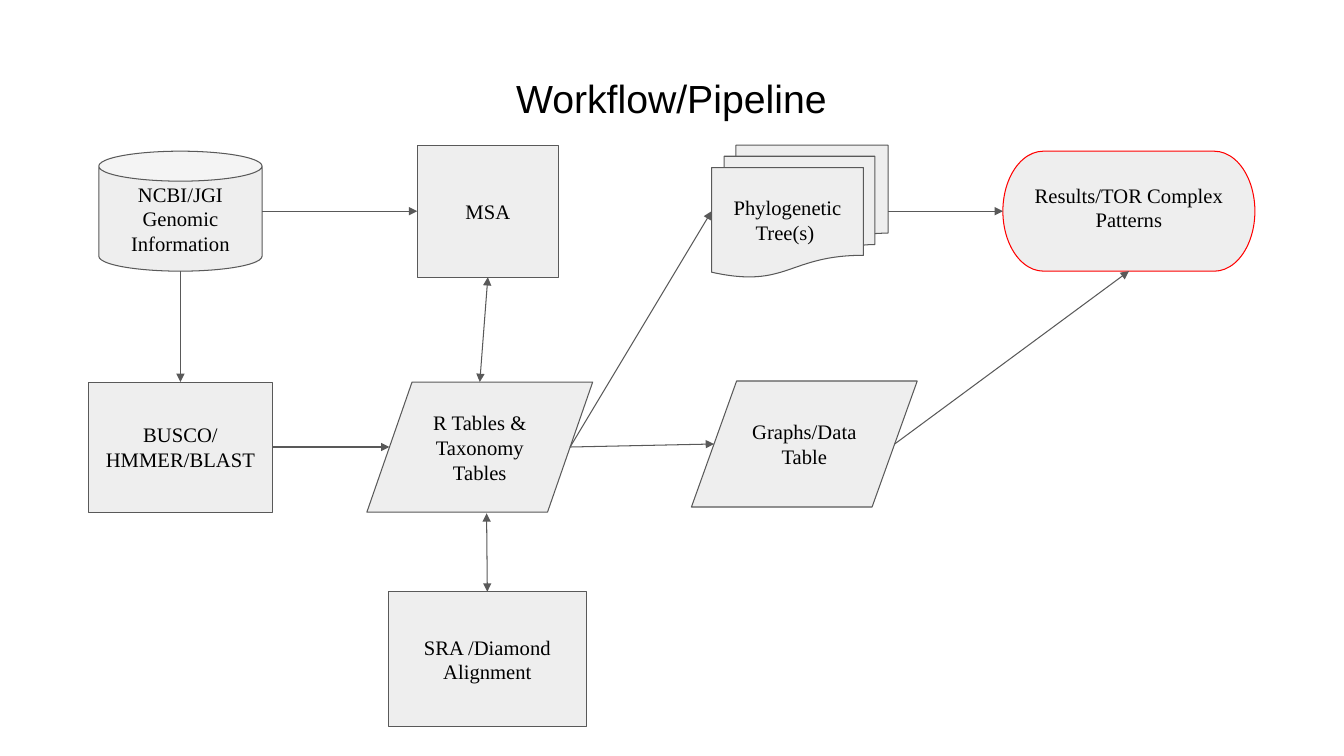
from pptx import Presentation
from pptx.dml.color import RGBColor
from pptx.enum.shapes import MSO_CONNECTOR as Line, MSO_SHAPE as Shape
from pptx.enum.text import MSO_ANCHOR as Anchor, PP_ALIGN as Align
from pptx.oxml.ns import qn
from pptx.util import Inches, Pt
from lxml.etree import SubElement

BLACK = RGBColor(0x00, 0x00, 0x00)
GREY = RGBColor(0x59, 0x59, 0x59)
PALE = RGBColor(0xEE, 0xEE, 0xEE)
RED = RGBColor(0xFF, 0x00, 0x00)

COLS, ROWS = 160, 90
CELL = Inches(1) / 12
PAD = Inches(0.13)
THIN = Pt(0.75)

TITLE = (5.4, 7.32, 149.04, 10.08)
FLOW = (10.56, 17.28, 138.84, 69.24)

FRAME = {"word_wrap": True, "margin_left": PAD, "margin_right": PAD,
         "margin_top": PAD, "margin_bottom": PAD}
HEAD = {"name": "Arial", "size": Pt(28)}
BODY = {"name": "Times New Roman", "size": Pt(14.7)}

# name: preset, text, box in cells from the corner of the flow
NODES = {
    "genome": (Shape.CAN, "NCBI/JGI Genomic Information", (1.2, 0.72, 19.44, 14.28)),
    "msa": (Shape.RECTANGLE, "MSA", (39.12, 0, 16.8, 15.72)),
    "trees": (Shape.FLOWCHART_MULTIDOCUMENT, "Phylogenetic Tree(s) ",
              (74.16, 0, 21, 15.72)),
    "results": (Shape.FLOWCHART_TERMINATOR, "Results/TOR Complex Patterns",
                (108.84, 0.72, 30, 14.28)),
    "search": (Shape.RECTANGLE, "BUSCO/HMMER/BLAST", (0, 28.2, 21.84, 15.48)),
    "tables": (Shape.FLOWCHART_DATA, "R Tables & Taxonomy Tables",
               (33.12, 28.2, 26.88, 15.48)),
    "graphs": (Shape.FLOWCHART_DATA, "Graphs/Data Table",
               (71.76, 28.08, 26.88, 15)),
    "reads": (Shape.RECTANGLE, "SRA /Diamond Alignment",
              (35.64, 53.16, 23.64, 16.08)),
}

# points on a node as shares of its box
TOP, LEFT, BOTTOM, RIGHT = (0.5, 0), (0, 0.5), (0.5, 1), (1, 0.5)
SLANT_IN, SLANT_OUT = (0.1, 0.5), (0.9, 0.5)
BELOW = (0.53, 1.01)

# from node, point, to node, point, arrowhead at both ends
LINKS = [
    ("genome", BOTTOM, "search", TOP, False),
    ("genome", RIGHT, "msa", LEFT, False),
    ("search", RIGHT, "tables", SLANT_IN, False),
    ("msa", BOTTOM, "tables", TOP, True),
    ("tables", BELOW, "reads", TOP, True),
    ("tables", SLANT_OUT, "trees", LEFT, False),
    ("tables", SLANT_OUT, "graphs", SLANT_IN, False),
    ("trees", RIGHT, "results", LEFT, False),
    ("graphs", SLANT_OUT, "results", BOTTOM, False),
]


def style(item, values):
    for key, value in values.items():
        setattr(item, key, value)


def cells(box):
    """Turn grid cells into slide lengths."""
    return [round(n * CELL) for n in box]


def write(shape, text, font, anchor):
    frame = shape.text_frame
    style(frame, {**FRAME, "vertical_anchor": anchor})
    para = frame.paragraphs[0]
    para.text = text
    para.alignment = Align.CENTER
    style(para.font, font)
    para.font.color.rgb = BLACK


def add_title(slide, box):
    shape = slide.shapes.add_textbox(*cells(box))
    write(shape, "Workflow/Pipeline", HEAD, Anchor.TOP)


def add_node(slide, kind, text, box):
    shape = slide.shapes.add_shape(kind, *cells(box))
    shape.shadow.inherit = False
    shape.fill.solid()
    shape.fill.fore_color.rgb = PALE
    shape.line.color.rgb = GREY
    shape.line.width = THIN
    write(shape, text, BODY, Anchor.MIDDLE)
    return shape


def point(shape, share):
    return (round(shape.left + share[0] * shape.width),
            round(shape.top + share[1] * shape.height))


def add_link(slide, start, end, both):
    link = slide.shapes.add_connector(Line.STRAIGHT, *start, *end)
    link.line.color.rgb = GREY
    link.line.width = THIN
    props = link._element.spPr
    stroke = props.find(qn("a:ln"))
    for tag in ("a:headEnd", "a:tailEnd") if both else ("a:tailEnd",):
        SubElement(stroke, qn(tag), type="triangle")
    SubElement(props, qn("a:effectLst"))


def add_flow(slide, box):
    left, top = box[:2]
    nodes = {}
    for name, (kind, text, (x, y, wide, high)) in NODES.items():
        nodes[name] = add_node(slide, kind, text, (left + x, top + y, wide, high))
    goal = nodes["results"]
    goal.line.color.rgb = RED
    goal.text_frame.margin_bottom = PAD + Inches(0.08)
    for first, out, last, into, both in LINKS:
        add_link(slide, point(nodes[first], out), point(nodes[last], into), both)


def main():
    deck = Presentation()
    deck.slide_width, deck.slide_height = cells((COLS, ROWS))
    slide = deck.slides.add_slide(deck.slide_layouts[6])
    add_title(slide, TITLE)
    add_flow(slide, FLOW)
    deck.save("out.pptx")


if __name__ == "__main__":
    main()
